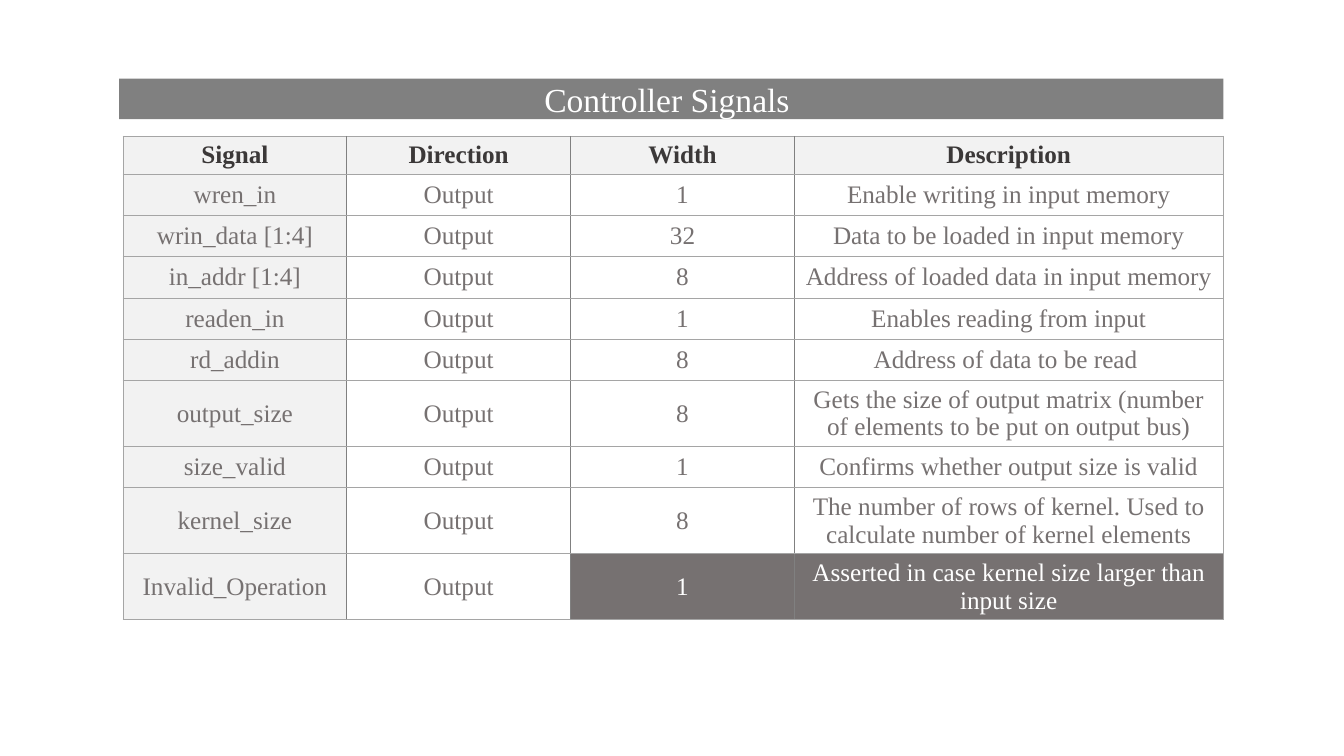
from lxml.etree import SubElement
from pptx import Presentation
from pptx.dml.color import RGBColor
from pptx.enum.text import MSO_ANCHOR, MSO_AUTO_SIZE, PP_ALIGN
from pptx.oxml.ns import qn
from pptx.util import Cm, Pt

COLORS = {
    "bar": "808080",
    "rule": "A5A5A5",
    "pale": "F2F2F2",
    "dark": "767171",
    "heading": "3B3838",
    "white": "FFFFFF",
}
HEADER = ["Signal", "Direction", "Width", "Description"]
SIGNALS = [
    ("wren_in", "1", "Enable writing in input memory"),
    ("wrin_data [1:4]", "32", "Data to be loaded in input memory"),
    ("in_addr [1:4]", "8", "Address of loaded data in input memory"),
    ("readen_in", "1", "Enables reading from input"),
    ("rd_addin", "8", "Address of data to be read "),
    ("output_size", "8", "Gets the size of output matrix (number of elements to be put on output bus)"),
    ("size_valid", "1", "Confirms whether output size is valid"),
    ("kernel_size", "8", "The number of rows of kernel. Used to calculate number of kernel elements"),
    ("Invalid_Operation", "1", "Asserted in case kernel size larger than input size"),
]
COLUMN_WIDTHS = [5.64, 5.64, 5.64, 10.8]
HEADER_HEIGHT, ROW_HEIGHT = 0.86, 1.04


class SlideBuilder:
    font = "Times New Roman"

    def __init__(self, prs):
        self.s = prs.slides.add_slide(prs.slide_layouts[5])

    def add_text(self, tf, text, color, size, bold=False):
        p = tf.paragraphs[0]
        p.alignment = PP_ALIGN.CENTER
        r = p.add_run()
        r.text = text
        for name, value in {"name": self.font, "size": Pt(size), "bold": bold}.items():
            setattr(r.font, name, value)
        r.font.color.rgb = RGBColor.from_string(COLORS[color])

    def paint(self, fill, color):
        if color is None:
            fill.background()
        else:
            fill.solid()
            fill.fore_color.rgb = RGBColor.from_string(COLORS[color])

    def title(self, text, left, top, width, height):
        sp = self.s.shapes.title
        box = {"left": left, "top": top, "width": width, "height": height}
        for name, value in box.items():
            setattr(sp, name, Cm(value))
        self.paint(sp.fill, "bar")
        tf = sp.text_frame
        frame = {"vertical_anchor": MSO_ANCHOR.MIDDLE, "auto_size": MSO_AUTO_SIZE.NONE, "word_wrap": True}
        for name, value in frame.items():
            setattr(tf, name, value)
        self.add_text(tf, text, "white", 24)

    def borders(self, cell, first, last):
        thin, thick = ("rule", 0.5), ("bar", 1)
        sides = {
            "a:lnL": thin if first else thick,
            "a:lnR": thin if last else thick,
            "a:lnT": thin,
            "a:lnB": thin,
        }
        tcPr = cell._tc.get_or_add_tcPr()
        for tag, (color, width) in sides.items():
            ln = SubElement(tcPr, qn(tag), w=str(Pt(width)))
            fill = SubElement(ln, qn("a:solidFill"))
            SubElement(fill, qn("a:srgbClr"), val=COLORS[color])

    def table(self, rows, left, top):
        heights = [HEADER_HEIGHT] + [ROW_HEIGHT] * (len(rows) - 1)
        frame = self.s.shapes.add_table(
            len(rows), len(COLUMN_WIDTHS), Cm(left), Cm(top), Cm(sum(COLUMN_WIDTHS)), Cm(sum(heights))
        )
        table = frame.table
        table.horz_banding = False
        for column, width in zip(table.columns, COLUMN_WIDTHS):
            column.width = Cm(width)
        for row, height in zip(table.rows, heights):
            row.height = Cm(height)
        for i, row in enumerate(rows):
            for j, text in enumerate(row):
                header = i == 0
                alert = i == len(rows) - 1 and j >= 2
                cell = table.cell(i, j)
                cell.vertical_anchor = MSO_ANCHOR.MIDDLE
                self.borders(cell, j == 0, j == len(row) - 1)
                self.paint(cell.fill, "dark" if alert else "pale" if header or j == 0 else None)
                color = "white" if alert else "heading" if header else "dark"
                self.add_text(cell.text_frame, text, color, 18, header)


def main():
    prs = Presentation()
    prs.slide_width, prs.slide_height = Cm(33.87), Cm(19.05)
    builder = SlideBuilder(prs)
    builder.title("Controller Signals ", 3, 1.98, 27.83, 1.02)
    rows = [HEADER] + [(name, "Output", width, text) for name, width, text in SIGNALS]
    builder.table(rows, 3.1, 3.43)
    prs.save("out.pptx")


if __name__ == "__main__":
    main()
